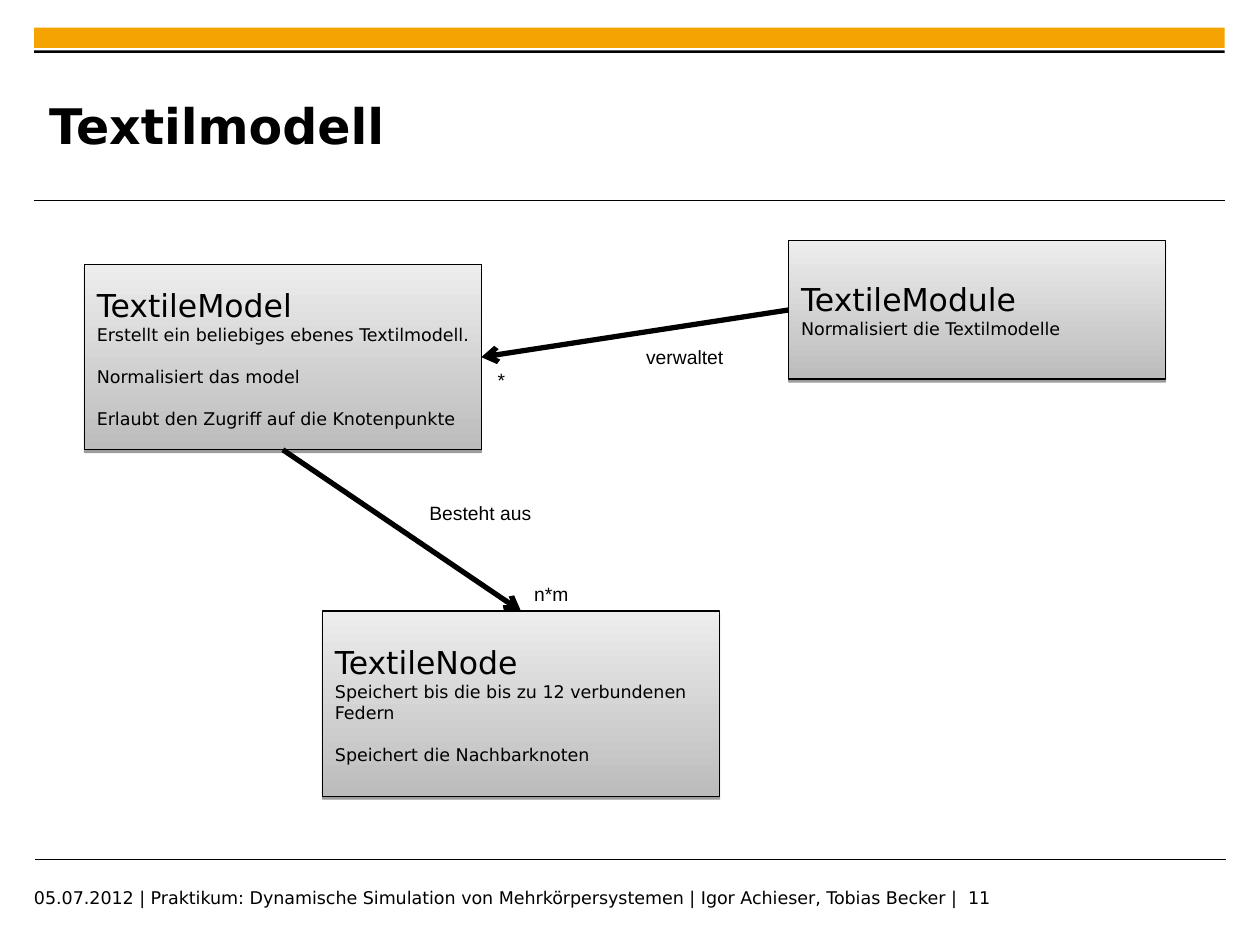
from pptx import Presentation
from pptx.dml.color import RGBColor
from pptx.enum.shapes import MSO_CONNECTOR, MSO_SHAPE
from pptx.enum.text import MSO_ANCHOR, MSO_AUTO_SIZE, PP_ALIGN
from pptx.oxml.ns import qn
from pptx.util import Inches, Pt
from lxml.etree import SubElement

TOP, LEFT, BOTTOM, RIGHT = range(4)  # connection sites of a rectangle


def rgb(color):
    return RGBColor.from_string(color)


class Diagram:
    """The slide being built, with its fonts and colours."""
    font, label_font = "DejaVu Sans", "Arial"
    black, accent = "000000", "F5A300"
    dark, light = "BCBCBC", "EDEDED"
    paragraph_gap = 12

    def __init__(self, slide):
        self.shapes = slide.shapes

    def style(self, p, size, font=None, bold=False):
        p.font.name = font or self.font
        p.font.size = Pt(size)
        p.font.bold = bold
        p.font.color.rgb = rgb(self.black)

    def rect(self, x, y, w, h):
        sp = self.shapes.add_shape(MSO_SHAPE.RECTANGLE, Inches(x), Inches(y),
                                   Inches(w), Inches(h))
        sp.shadow.inherit = False
        return sp

    def bar(self, y, h, color):
        sp = self.rect(0.27, y, 9.45, h)
        sp.fill.solid()
        sp.fill.fore_color.rgb = rgb(color)
        sp.line.fill.background()

    def line(self, x1, y1, x2, y2, width):
        cn = self.shapes.add_connector(MSO_CONNECTOR.STRAIGHT, Inches(x1),
                                       Inches(y1), Inches(x2), Inches(y2))
        cn.line.color.rgb = rgb(self.black)
        cn.line.width = Pt(width)
        SubElement(cn._element.spPr, qn("a:effectLst"))
        return cn

    def arrow(self, start, start_site, end, end_site):
        cn = self.line(0, 0, 1, 1, 3)
        cn.begin_connect(start, start_site)
        cn.end_connect(end, end_site)
        SubElement(cn._element.spPr.find(qn("a:ln")), qn("a:tailEnd"), type="arrow")

    def text(self, x, y, w, h, text, size, bold=False, anchor=MSO_ANCHOR.TOP):
        tf = self.shapes.add_textbox(Inches(x), Inches(y), Inches(w), Inches(h)).text_frame
        tf.word_wrap = True
        tf.vertical_anchor = anchor
        tf.margin_left = tf.margin_right = tf.margin_top = tf.margin_bottom = 0
        tf.text = text
        self.style(tf.paragraphs[0], size, bold=bold)

    def label(self, x, y, w, text):
        tf = self.shapes.add_textbox(Inches(x), Inches(y), Inches(w), Inches(0.29)).text_frame
        tf.word_wrap = False
        tf.auto_size = MSO_AUTO_SIZE.SHAPE_TO_FIT_TEXT
        tf.text = text
        self.style(tf.paragraphs[0], 11, self.label_font)

    def class_box(self, x, y, w, h, name, *duties):
        sp = self.rect(x, y, w, h)
        sp.fill.gradient()
        sp.fill.gradient_angle = 90
        for stop, color in zip(sp.fill.gradient_stops, (self.dark, self.light)):
            stop.color.rgb = rgb(color)
        sp.line.color.rgb = rgb(self.black)
        sp.line.width = Pt(0.75)
        self.drop_shadow(sp)

        tf = sp.text_frame
        tf.word_wrap = True
        tf.vertical_anchor = MSO_ANCHOR.MIDDLE
        tf.text = "\n".join((name, *duties))
        for i, p in enumerate(tf.paragraphs):
            p.alignment = PP_ALIGN.LEFT
            self.style(p, 10 if i else 18)
            if i > 1:
                p.space_before = Pt(self.paragraph_gap)
        return sp

    def drop_shadow(self, sp):
        effects = sp._element.spPr.find(qn("a:effectLst"))
        shadow = SubElement(effects, qn("a:outerShdw"), blurRad="0",
                            dist=str(Pt(1.6)), dir="5400000", rotWithShape="0")
        color = SubElement(shadow, qn("a:srgbClr"), val=self.black)
        SubElement(color, qn("a:alpha"), val="38000")


def main():
    prs = Presentation()
    prs.slide_width, prs.slide_height = Inches(10), Inches(7.5)
    d = Diagram(prs.slides.add_slide(prs.slide_layouts[6]))

    d.bar(0.22, 0.16, d.accent)
    d.line(0.27, 1.59, 9.72, 1.59, 0.6)
    d.line(0.28, 6.82, 9.73, 6.82, 0.6)
    d.bar(0.4, 0.02, d.black)
    d.text(0.39, 0.53, 7.52, 0.92, "Textilmodell", 28, bold=True,
           anchor=MSO_ANCHOR.MIDDLE)
    d.text(0.27, 7.04, 7.87, 0.25,
           "05.07.2012 | Praktikum: Dynamische Simulation von Mehrkörpersystemen"
           " | Igor Achieser, Tobias Becker |  11", 10)

    module = d.class_box(6.26, 1.91, 2.99, 1.1, "TextileModule",
                         "Normalisiert die Textilmodelle")
    model = d.class_box(0.67, 2.1, 3.15, 1.47, "TextileModel",
                        "Erstellt ein beliebiges ebenes Textilmodell.",
                        "Normalisiert das model",
                        "Erlaubt den Zugriff auf die Knotenpunkte")
    node = d.class_box(2.56, 4.85, 3.15, 1.47, "TextileNode",
                       "Speichert bis die bis zu 12 verbundenen Federn",
                       "Speichert die Nachbarknoten")

    d.arrow(model, BOTTOM, node, TOP)
    d.label(3.31, 3.93, 1.03, "Besteht aus")
    d.label(4.14, 4.57, 0.49, "n*m")
    d.arrow(module, LEFT, model, RIGHT)
    d.label(5.03, 2.69, 0.84, "verwaltet")
    d.label(3.85, 2.87, 0.28, "*")

    prs.save("out.pptx")


if __name__ == "__main__":
    main()
